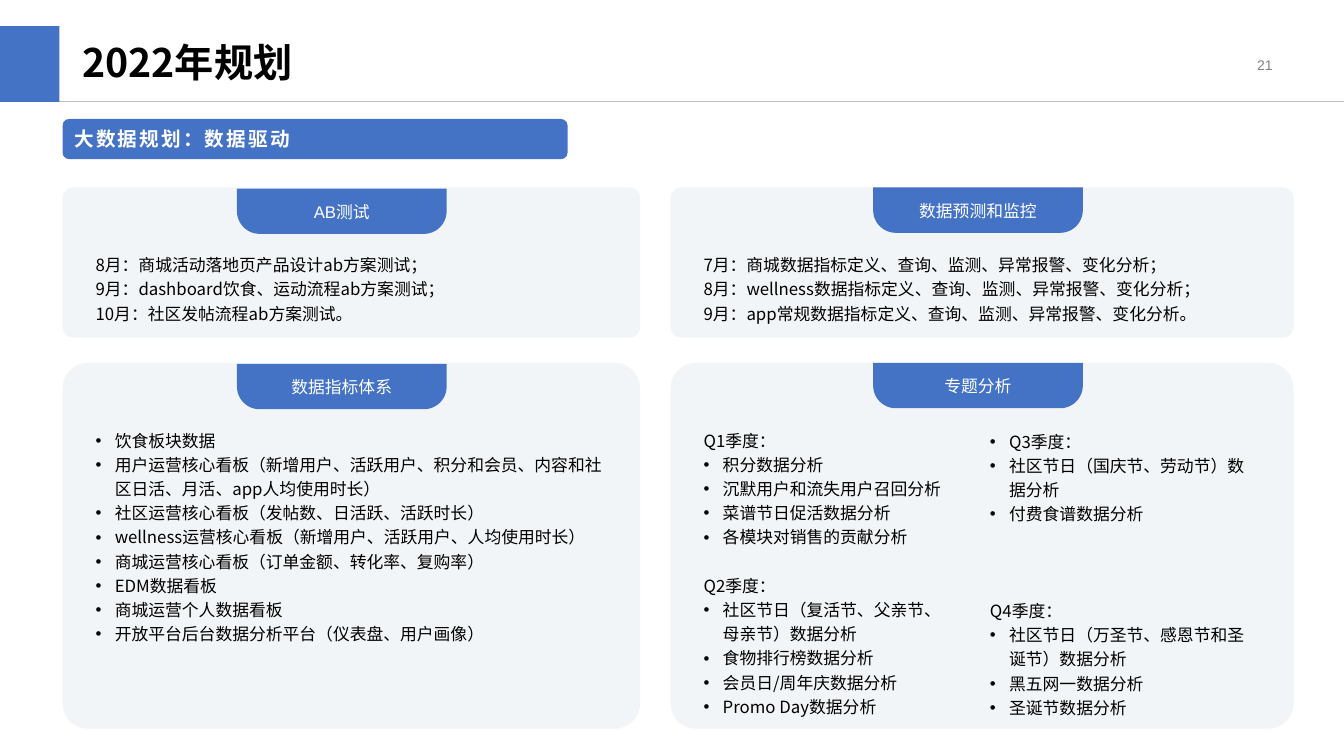
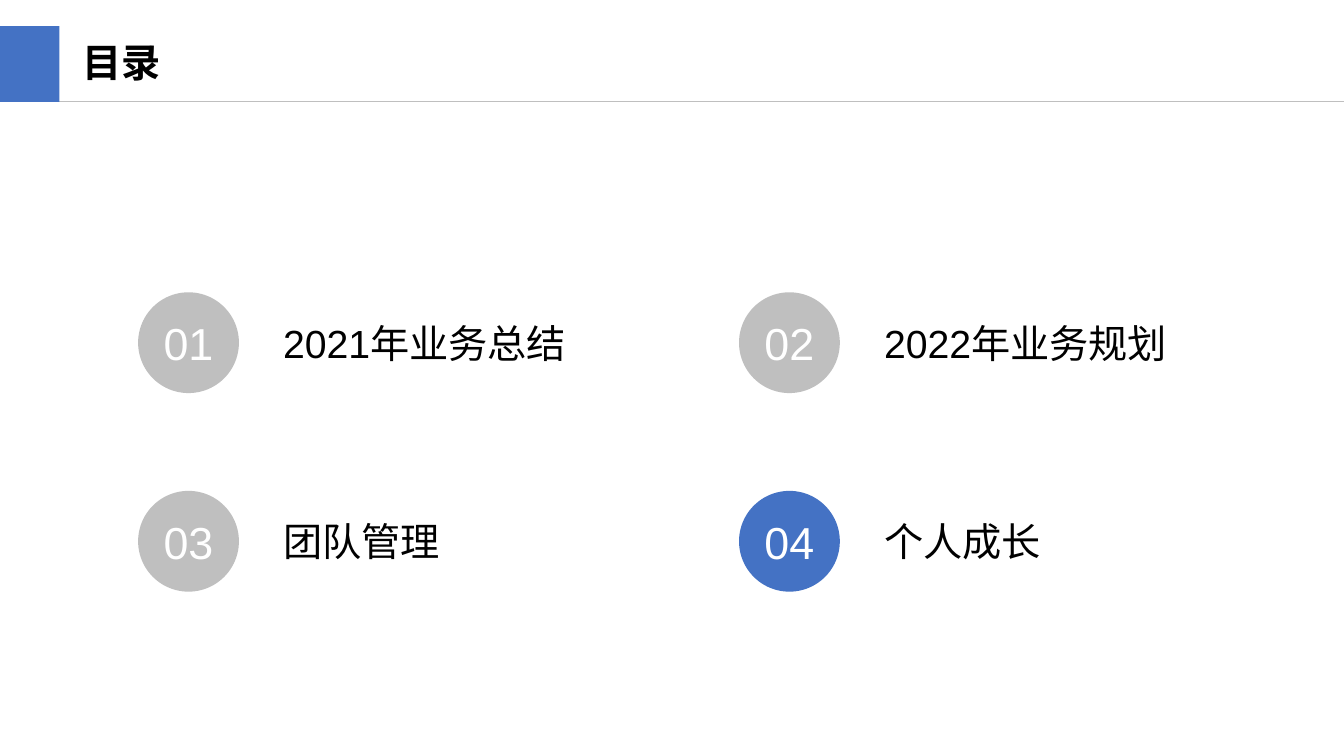
from dataclasses import dataclass

from lxml import etree
from pptx import Presentation
from pptx.dml.color import RGBColor
from pptx.enum.shapes import MSO_CONNECTOR, MSO_SHAPE
from pptx.enum.text import MSO_ANCHOR, PP_ALIGN
from pptx.oxml.ns import qn
from pptx.shapes.autoshape import Shape
from pptx.slide import Slide
from pptx.text.text import _Paragraph as Paragraph
from pptx.util import Emu, Pt

EMU_PER_PX = 9144
SLIDE_WIDTH, SLIDE_HEIGHT = 1333, 750

BLUE, GRAY, PANEL = "4472C4", "BFBFBF", "F2F5F7"
BLACK, WHITE, NUMBER_GRAY = "000000", "FFFFFF", "808080"
HEADING_FONT, BASE_FONT = "Noto Sans CJK SC", "Arial"

RECTANGLE = MSO_SHAPE.RECTANGLE
ROUNDED = MSO_SHAPE.ROUNDED_RECTANGLE
TAB = MSO_SHAPE.ROUND_2_SAME_RECTANGLE
OVAL = MSO_SHAPE.OVAL
STRAIGHT = MSO_CONNECTOR.STRAIGHT
TOP, MIDDLE = MSO_ANCHOR.TOP, MSO_ANCHOR.MIDDLE
LEFT, CENTER, RIGHT = PP_ALIGN.LEFT, PP_ALIGN.CENTER, PP_ALIGN.RIGHT

LINE_HEIGHT = 17.28
BULLET_INDENT = 19


@dataclass(frozen=True)
class Box:
    left: int
    top: int
    width: int
    height: int


@dataclass(frozen=True)
class Style:
    size: int
    color: str = BLACK
    font: str = BASE_FONT
    bold: bool = False
    align: PP_ALIGN = LEFT
    tracking: int = 0


@dataclass(frozen=True)
class Line:
    text: str
    bullet: bool = False
    blank_lines_before: int = 0


@dataclass(frozen=True)
class Column:
    left: int
    top: int
    width: int
    lines: list[Line]


@dataclass(frozen=True)
class Card:
    box: Box
    tab_left: int
    tab_top: int
    title: str
    columns: list[Column]


@dataclass(frozen=True)
class AgendaItem:
    number: str
    title: str
    color: str = GRAY


TITLE = Style(28, font=HEADING_FONT, bold=True)
BANNER = Style(14, WHITE, HEADING_FONT, bold=True, tracking=150)
BODY = Style(12, font=HEADING_FONT)
TAB_LABEL = Style(12, WHITE, align=CENTER)
PAGE_NUMBER = Style(10, NUMBER_GRAY, align=RIGHT)
AGENDA_NUMBER = Style(32, WHITE, align=CENTER)
AGENDA_TITLE = Style(28)


def plain(*texts: str) -> list[Line]:
    return [Line(text) for text in texts]


def bullets(*texts: str) -> list[Line]:
    return [Line(text, bullet=True) for text in texts]


CARDS = [
    Card(Box(62, 186, 573, 149), 235, 187, "AB测试", [
        Column(85, 244, 527, plain(
            "8月：商城活动落地页产品设计ab方案测试；",
            "9月：dashboard饮食、运动流程ab方案测试；",
            "10月：社区发帖流程ab方案测试。",
        )),
    ]),
    Card(Box(665, 186, 618, 149), 866, 186, "数据预测和监控", [
        Column(688, 244, 527, plain(
            "7月：商城数据指标定义、查询、监测、异常报警、变化分析；",
            "8月：wellness数据指标定义、查询、监测、异常报警、变化分析；",
            "9月：app常规数据指标定义、查询、监测、异常报警、变化分析。",
        )),
    ]),
    Card(Box(62, 360, 573, 363), 235, 361, "数据指标体系", [
        Column(85, 418, 528, bullets(
            "饮食板块数据",
            "用户运营核心看板（新增用户、活跃用户、积分和会员、内容和社区日活、月活、app人均使用时长）",
            "社区运营核心看板（发帖数、日活跃、活跃时长）",
            "wellness运营核心看板（新增用户、活跃用户、人均使用时长）",
            "商城运营核心看板（订单金额、转化率、复购率）",
            "EDM数据看板",
            "商城运营个人数据看板",
            "开放平台后台数据分析平台（仪表盘、用户画像）",
        )),
    ]),
    Card(Box(665, 360, 618, 363), 866, 360, "专题分析", [
        Column(688, 418, 260, [
            Line("Q1季度："),
            *bullets(
                "积分数据分析",
                "沉默用户和流失用户召回分析",
                "菜谱节日促活数据分析",
                "各模块对销售的贡献分析",
            ),
            Line("Q2季度：", blank_lines_before=1),
            *bullets(
                "社区节日（复活节、父亲节、母亲节）数据分析",
                "食物排行榜数据分析",
                "会员日/周年庆数据分析",
                "Promo Day数据分析",
            ),
        ]),
        Column(972, 419, 288, [
            *bullets(
                "Q3季度：",
                "社区节日（国庆节、劳动节）数据分析",
                "付费食谱数据分析",
            ),
            Line("Q4季度：", blank_lines_before=3),
            *bullets(
                "社区节日（万圣节、感恩节和圣诞节）数据分析",
                "黑五网一数据分析",
                "圣诞节数据分析",
            ),
        ]),
    ]),
]

AGENDA = [
    AgendaItem("01", "2021年业务总结"),
    AgendaItem("02", "2022年业务规划"),
    AgendaItem("03", "团队管理"),
    AgendaItem("04", "个人成长", BLUE),
]


def px(length: int) -> Emu:
    return Emu(length * EMU_PER_PX)


def rgb(color: str) -> RGBColor:
    return RGBColor.from_string(color)


def place(box: Box) -> tuple[Emu, Emu, Emu, Emu]:
    return px(box.left), px(box.top), px(box.width), px(box.height)


def style_paragraph(paragraph: Paragraph, style: Style) -> None:
    paragraph.alignment = style.align
    font = paragraph.font
    font.size = Pt(style.size)
    font.bold = style.bold
    font.color.rgb = rgb(style.color)
    font.name = style.font
    properties = paragraph._p.pPr.find(qn("a:defRPr"))
    if style.font == HEADING_FONT:
        etree.SubElement(properties, qn("a:ea"), typeface=style.font)
    if style.tracking:
        properties.set("spc", str(style.tracking))


def add_bullet(paragraph: Paragraph) -> None:
    properties = paragraph._p.get_or_add_pPr()
    properties.set("marL", str(px(BULLET_INDENT)))
    properties.set("indent", str(px(-BULLET_INDENT)))
    etree.SubElement(properties, qn("a:buFont"), typeface=BASE_FONT)
    etree.SubElement(properties, qn("a:buChar"), char="•")


def write_text(shape: Shape, text: str, style: Style, anchor: MSO_ANCHOR = MIDDLE) -> Paragraph:
    frame = shape.text_frame
    frame.word_wrap = True
    frame.vertical_anchor = anchor
    paragraph = frame.paragraphs[0]
    paragraph.text = text
    style_paragraph(paragraph, style)
    return paragraph


def add_filled(slide: Slide, kind: MSO_SHAPE, box: Box, color: str) -> Shape:
    shape = slide.shapes.add_shape(kind, *place(box))
    shape.shadow.inherit = False
    shape.fill.solid()
    shape.fill.fore_color.rgb = rgb(color)
    shape.line.fill.background()
    return shape


def add_column(slide: Slide, column: Column) -> None:
    height = round(len(column.lines) * LINE_HEIGHT / 0.72) + 10
    box = Box(column.left, column.top, column.width, height)
    frame = slide.shapes.add_textbox(*place(box)).text_frame
    frame.word_wrap = True
    for index, line in enumerate(column.lines):
        paragraph = frame.add_paragraph() if index else frame.paragraphs[0]
        paragraph.text = line.text
        if line.bullet:
            add_bullet(paragraph)
        style_paragraph(paragraph, BODY)
        paragraph.line_spacing = Pt(LINE_HEIGHT)
        if line.blank_lines_before:
            paragraph.space_before = Pt(line.blank_lines_before * LINE_HEIGHT)


def add_card(slide: Slide, card: Card) -> None:
    panel = add_filled(slide, ROUNDED, card.box, PANEL)
    panel.adjustments[0] = 0.07
    tab = add_filled(slide, TAB, Box(card.tab_left, card.tab_top, 208, 45), BLUE)
    tab.adjustments[0] = 0
    tab.adjustments[1] = 0.5
    write_text(tab, card.title, TAB_LABEL)
    tab.text_frame.margin_top = px(8)
    tab.text_frame.margin_bottom = px(0)
    for column in card.columns:
        add_column(slide, column)


def add_titled_slide(presentation: Presentation, title: str) -> Slide:
    slide = presentation.slides.add_slide(presentation.slide_layouts[6])
    rule = slide.shapes.add_connector(STRAIGHT, px(0), px(101), px(SLIDE_WIDTH), px(101))
    rule.line.color.rgb = rgb(GRAY)
    rule.line.width = Pt(0.5)
    etree.SubElement(rule._element.spPr, qn("a:effectLst"))
    add_filled(slide, RECTANGLE, Box(0, 26, 59, 75), BLUE)
    title_box = slide.shapes.add_textbox(*place(Box(72, 38, 794, 52)))
    write_text(title_box, title, TITLE, TOP).line_spacing = 0.9
    return slide


def build_plan(presentation: Presentation) -> None:
    slide = add_titled_slide(presentation, "2022年规划")
    banner = add_filled(slide, ROUNDED, Box(62, 118, 501, 40), BLUE)
    write_text(banner, "大数据规划：数据驱动", BANNER)
    number_box = slide.shapes.add_textbox(*place(Box(972, 44, 300, 40)))
    write_text(number_box, "21", PAGE_NUMBER)
    for card in CARDS:
        add_card(slide, card)


def build_agenda(presentation: Presentation) -> None:
    slide = add_titled_slide(presentation, "目录")
    for index, item in enumerate(AGENDA):
        row, column = divmod(index, 2)
        left, top = 137 + column * 596, 290 + row * 197
        circle = add_filled(slide, OVAL, Box(left, top, 100, 100), item.color)
        write_text(circle, item.number, AGENDA_NUMBER)
        title_box = slide.shapes.add_textbox(*place(Box(left + 134, top, 379, 100)))
        write_text(title_box, item.title, AGENDA_TITLE)


def main() -> None:
    presentation = Presentation()
    presentation.slide_width = px(SLIDE_WIDTH)
    presentation.slide_height = px(SLIDE_HEIGHT)
    build_plan(presentation)
    build_agenda(presentation)
    presentation.save("out.pptx")


if __name__ == "__main__":
    main()
